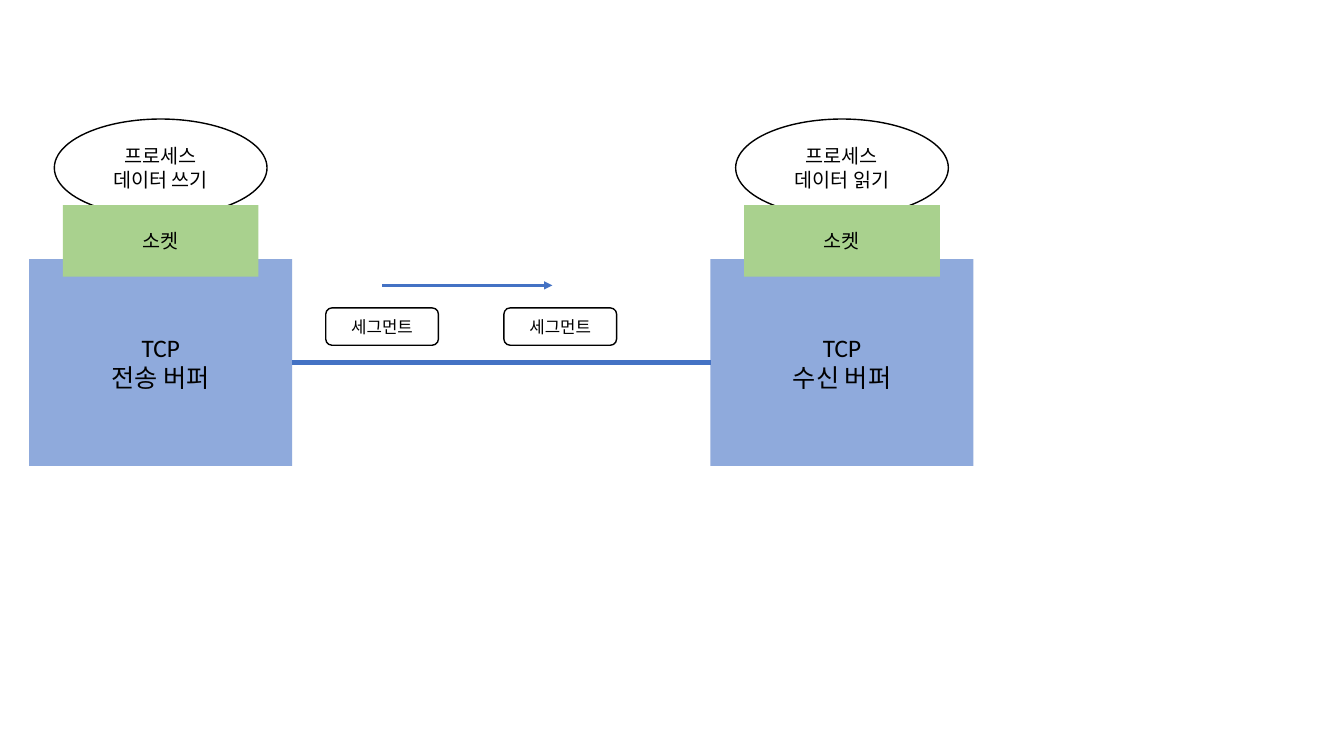
from lxml import etree
from pptx import Presentation
from pptx.dml.color import RGBColor
from pptx.enum.shapes import MSO_CONNECTOR as CONN, MSO_SHAPE as SHAPE
from pptx.enum.text import MSO_ANCHOR as ANCHOR, PP_ALIGN as ALIGN
from pptx.oxml.ns import qn
from pptx.util import Cm, Pt


def rgb(value):
    return RGBColor.from_string(value)


class Diagram:
    FONT = "Calibri"
    BLACK, BLUE = "000000", "4472C4"
    BUFFER, SOCKET = "8FAADC", "A9D18E"

    def __init__(self, slide):
        self.shapes = slide.shapes

    def node(self, kind, center_x, top, width, height, lines, size, fill=None):
        """Add a captioned shape: filled without outline, or outlined only."""
        sp = self.shapes.add_shape(
            kind, Cm(center_x - width / 2), Cm(top), Cm(width), Cm(height))
        sp.shadow.inherit = False
        if fill:
            sp.fill.solid()
            sp.fill.fore_color.rgb = rgb(fill)
            sp.line.fill.background()
        else:
            sp.fill.background()
            sp.line.color.rgb = rgb(self.BLACK)
            sp.line.width = Pt(1)
        tf = sp.text_frame
        tf.word_wrap = True
        tf.vertical_anchor = ANCHOR.MIDDLE
        tf.margin_left = tf.margin_right = tf.margin_top = tf.margin_bottom = 0
        for i, line in enumerate(lines):
            p = tf.add_paragraph() if i else tf.paragraphs[0]
            p.text = line
            p.alignment = ALIGN.CENTER
            p.font.name = self.FONT
            p.font.size = Pt(size)
            p.font.color.rgb = rgb(self.BLACK)

    def line(self, x1, x2, y, width, arrow=False):
        cxn = self.shapes.add_connector(
            CONN.STRAIGHT, Cm(x1), Cm(y), Cm(x2), Cm(y))
        cxn.line.color.rgb = rgb(self.BLUE)
        cxn.line.width = Pt(width)
        if arrow:
            etree.SubElement(cxn.line._get_or_add_ln(), qn("a:tailEnd"), type="triangle")
        etree.SubElement(cxn._element.spPr, qn("a:effectLst"))

    def host(self, center_x, action, role):
        """Add a process, its TCP buffer and the socket that joins them."""
        self.node(SHAPE.OVAL, center_x, 3, 5.36, 2.46, ["프로세스", action], 14)
        self.node(SHAPE.RECTANGLE, center_x, 6.53, 6.63, 5.21,
                  ["TCP", role], 18, self.BUFFER)
        self.node(SHAPE.RECTANGLE, center_x, 5.17, 4.93, 1.8,
                  ["소켓"], 14, self.SOCKET)

    def segment(self, center_x):
        self.node(SHAPE.ROUNDED_RECTANGLE, center_x, 7.76, 2.84, 0.94, ["세그먼트"], 12)


def main():
    prs = Presentation()
    prs.slide_width, prs.slide_height = Cm(33.87), Cm(19.05)
    diagram = Diagram(prs.slides.add_slide(prs.slide_layouts[6]))

    diagram.host(4.05, "데이터 쓰기", "전송 버퍼")
    diagram.host(21.22, "데이터 읽기", "수신 버퍼")
    diagram.line(7.37, 17.91, 9.14, 3.25)
    for center_x in (9.63, 14.12):
        diagram.segment(center_x)
    diagram.line(9.63, 13.92, 7.19, 1.75, arrow=True)

    prs.save("out.pptx")


if __name__ == "__main__":
    main()
